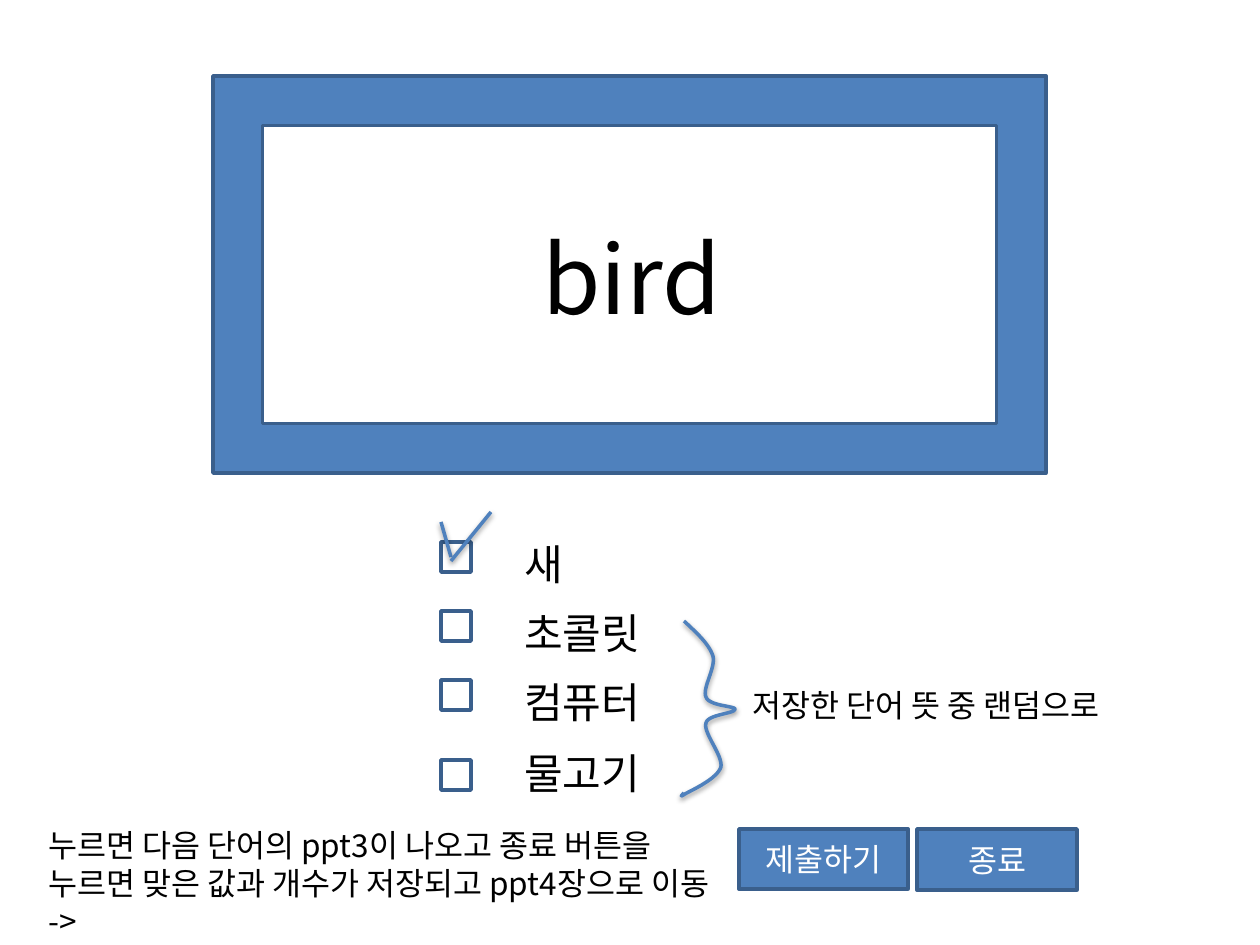
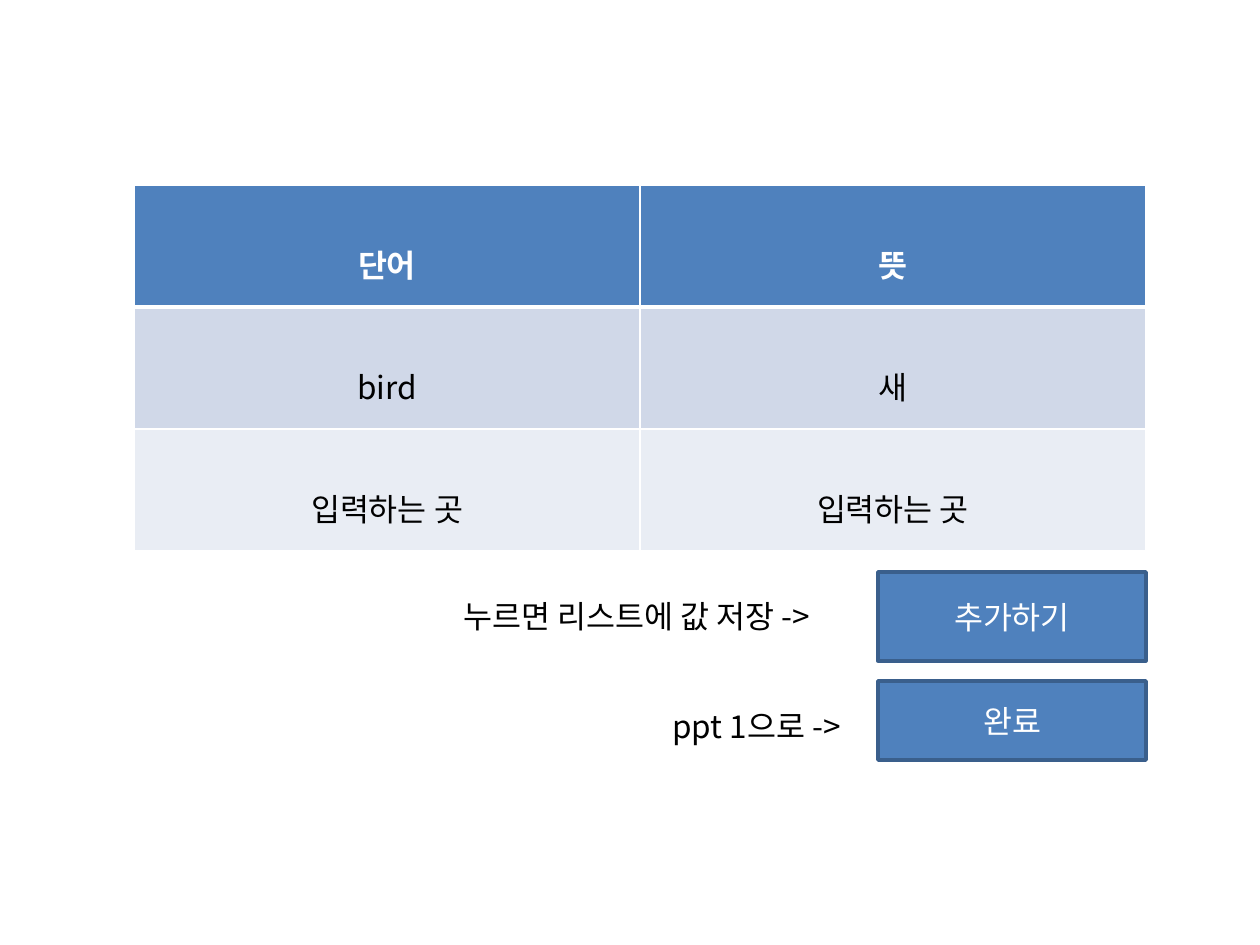
from dataclasses import dataclass
from typing import Optional

from lxml import etree
from pptx import Presentation
from pptx import util as u
from pptx.dml.color import RGBColor
from pptx.enum import shapes, text
from pptx.oxml.ns import qn

SCALE = 9144000 / 1260
FONT = "Noto Sans CJK KR"
BLUE, OUTLINE = "4F81BD", "3A5F8C"
WHITE, BLACK = "FFFFFF", "000000"
ROW_FILLS = (BLUE, "D0D8E8", "E9EDF4")
CURVE_STEPS = 16


@dataclass(frozen=True)
class Box:
    left: int
    top: int
    width: int
    height: int

    def emu(self) -> tuple:
        return tuple(px(n) for n in (self.left, self.top, self.width, self.height))


@dataclass(frozen=True)
class Label:
    words: str
    box: Box
    size: int = 18


@dataclass(frozen=True)
class Option:
    words: str
    check_top: int
    label_top: int


WORD = Label("bird", Box(530, 214, 556, 127), 54)
OPTIONS = (
    Option("새", 542, 532),
    Option("초콜릿", 611, 601),
    Option("컴퓨터", 680, 670),
    Option("물고기", 760, 741),
)
QUIZ_NOTES = (
    Label("저장한 단어 뜻 중 랜덤으로", Box(740, 680, 496, 50)),
    Label("누르면 다음 단어의 ppt3이 나오고 종료 버튼을 누르면 맞은 값과 개수가 "
          "저장되고 ppt4장으로 이동 ->", Box(36, 820, 714, 127)),
)
QUIZ_BUTTONS = (
    Label("제출하기", Box(739, 829, 169, 60)),
    Label("종료", Box(917, 829, 160, 61)),
)
CHECK_STROKES = (((441, 522), (451, 557)), ((491, 512), (451, 561)))
BRACE_START = (684, 621)
BRACE_CURVES = (
    ((697, 633), (709, 644), (713, 656)),
    ((716, 668), (702, 688), (706, 697)),
    ((709, 706), (735, 706), (735, 709)),
    ((735, 714), (708, 714), (706, 723)),
    ((703, 733), (723, 755), (721, 767)),
    ((717, 779), (692, 790), (685, 794)),
    ((679, 798), (682, 795), (684, 793)),
)
WORD_LIST = (("단어", "뜻"), ("bird", "새"), ("입력하는 곳", "입력하는 곳"))
LIST_BUTTONS = (
    Label("추가하기", Box(878, 572, 268, 89)),
    Label("완료", Box(878, 681, 268, 79)),
)
LIST_NOTES = (
    Label("ppt 1으로 ->", Box(660, 701, 268, 50)),
    Label("누르면 리스트에 값 저장 ->", Box(451, 591, 422, 50)),
)


def px(length: float) -> int:
    return round(length * SCALE)


def color(value: str) -> RGBColor:
    return RGBColor.from_string(value)


def write(frame, words: str, size: int, ink: str, centred: bool = False,
          bold: bool = False) -> None:
    frame.text = words
    frame.word_wrap = True
    paragraph = frame.paragraphs[0]
    paragraph.alignment = text.PP_ALIGN.CENTER if centred else text.PP_ALIGN.LEFT
    for run in paragraph.runs:
        run.font.name = FONT
        run.font.size = u.Pt(size)
        run.font.bold = bold
        run.font.color.rgb = color(ink)
        east_asian = etree.SubElement(run.font._element, qn("a:ea"))
        east_asian.set("typeface", FONT)


def add_label(slide, label: Label) -> None:
    shape = slide.shapes.add_textbox(*label.box.emu())
    write(shape.text_frame, label.words, label.size, BLACK)


def add_panel(slide, box: Box, fill: str,
              preset=shapes.MSO_SHAPE.RECTANGLE):
    shape = slide.shapes.add_shape(preset, *box.emu())
    shape.shadow.inherit = False
    shape.fill.solid()
    shape.fill.fore_color.rgb = color(fill)
    shape.line.color.rgb = color(OUTLINE)
    shape.line.width = u.Pt(2)
    return shape


def add_button(slide, label: Label) -> None:
    frame = add_panel(slide, label.box, BLUE).text_frame
    write(frame, label.words, label.size, WHITE, centred=True)
    frame.vertical_anchor = text.MSO_ANCHOR.MIDDLE


def style_stroke(shape) -> None:
    shape.line.color.rgb = color(BLUE)
    shape.line.width = u.Pt(2)
    properties = shape._element.spPr
    for old in properties.findall(qn("a:effectLst")):
        properties.remove(old)
    effects = etree.SubElement(properties, qn("a:effectLst"))
    shadow = etree.SubElement(effects, qn("a:outerShdw"), blurRad=str(u.Pt(3.1)),
                              dist=str(u.Pt(1.6)), dir="5400000", rotWithShape="0")
    ink = etree.SubElement(shadow, qn("a:srgbClr"), val=BLACK)
    etree.SubElement(ink, qn("a:alpha"), val="38000")


def curve_point(corners: tuple, t: float) -> tuple:
    weights = ((1 - t) ** 3, 3 * t * (1 - t) ** 2, 3 * t ** 2 * (1 - t), t ** 3)
    return tuple(px(sum(weight * corner[axis] for weight, corner in zip(weights, corners)))
                 for axis in (0, 1))


def add_brace(slide) -> None:
    points = []
    start = BRACE_START
    for curve in BRACE_CURVES:
        corners = (start, *curve)
        points += [curve_point(corners, step / CURVE_STEPS)
                   for step in range(1, CURVE_STEPS + 1)]
        start = curve[-1]
    builder = slide.shapes.build_freeform(px(BRACE_START[0]), px(BRACE_START[1]))
    builder.add_line_segments(points, close=False)
    shape = builder.convert_to_shape()
    shape.fill.background()
    style_stroke(shape)


def add_check_mark(slide) -> None:
    for start, end in CHECK_STROKES:
        stroke = slide.shapes.add_connector(
            shapes.MSO_CONNECTOR.STRAIGHT, *(px(n) for n in (*start, *end)))
        style_stroke(stroke)


def border_cell(cell, row: int) -> None:
    properties = cell._tc.get_or_add_tcPr()
    thick_side: Optional[str] = {0: "lnB", 1: "lnT"}.get(row)
    for position, side in enumerate(("lnL", "lnR", "lnT", "lnB")):
        width = u.Pt(3 if side == thick_side else 1)
        line = etree.Element(qn("a:" + side), w=str(width))
        fill = etree.SubElement(line, qn("a:solidFill"))
        etree.SubElement(fill, qn("a:srgbClr"), val=WHITE)
        properties.insert(position, line)


def add_word_list(slide) -> None:
    box = Box(134, 185, 1012, 366)
    table = slide.shapes.add_table(len(WORD_LIST), 2, *box.emu()).table
    for row, words in enumerate(WORD_LIST):
        header = row == 0
        for column, word in enumerate(words):
            cell = table.cell(row, column)
            cell.margin_top = px(56)
            cell.fill.solid()
            cell.fill.fore_color.rgb = color(ROW_FILLS[row])
            write(cell.text_frame, word, 18, WHITE if header else BLACK,
                  centred=True, bold=header)
            border_cell(cell, row)


def build_quiz(slide) -> None:
    add_panel(slide, Box(213, 76, 833, 397), BLUE, shapes.MSO_SHAPE.FRAME)
    add_label(slide, WORD)
    for option in OPTIONS:
        add_panel(slide, Box(441, option.check_top, 30, 30), WHITE)
        add_label(slide, Label(option.words, Box(512, option.label_top, 258, 63), 24))
    add_brace(slide)
    for note in QUIZ_NOTES:
        add_label(slide, note)
    for button in QUIZ_BUTTONS:
        add_button(slide, button)
    add_check_mark(slide)


def build_word_list(slide) -> None:
    add_word_list(slide)
    for button in LIST_BUTTONS:
        add_button(slide, button)
    for note in LIST_NOTES:
        add_label(slide, note)


def main() -> None:
    presentation = Presentation()
    presentation.slide_width = px(1260)
    presentation.slide_height = px(945)
    blank = presentation.slide_layouts[6]
    for build in (build_quiz, build_word_list):
        build(presentation.slides.add_slide(blank))
    presentation.save("out.pptx")


main()
